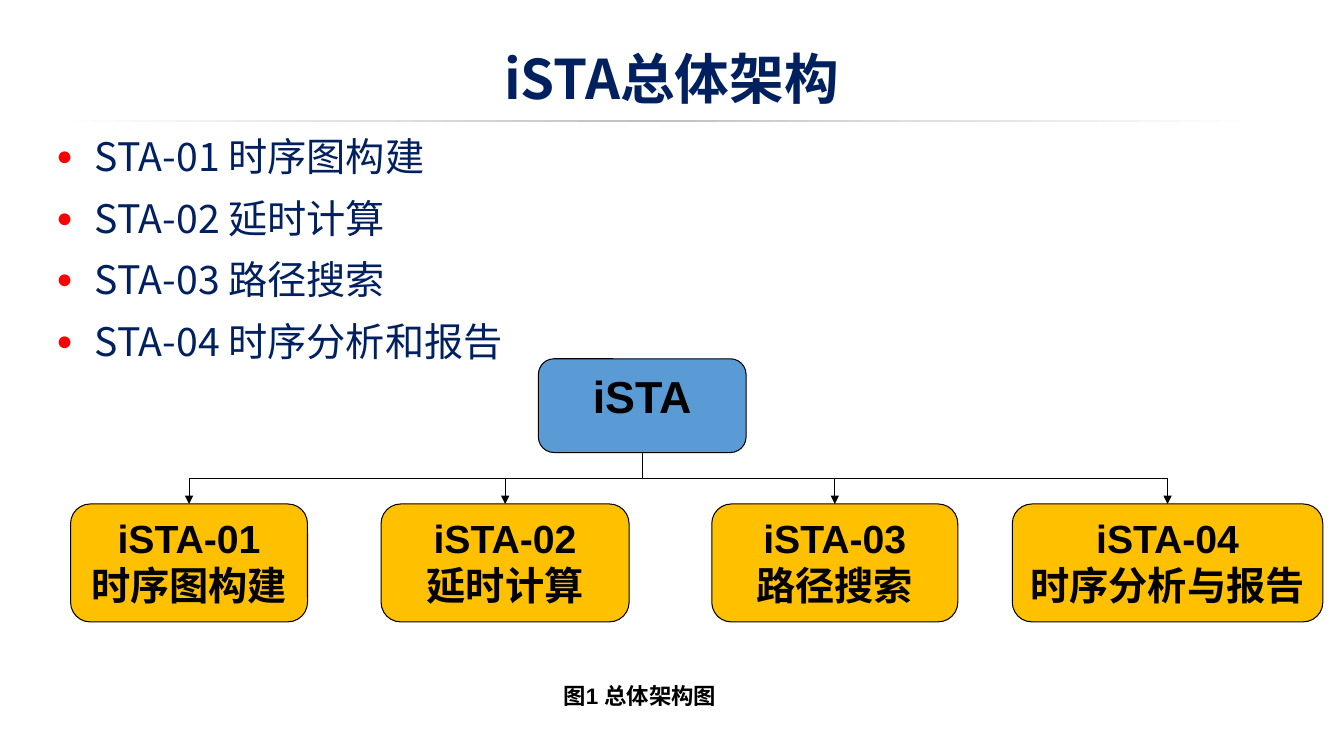
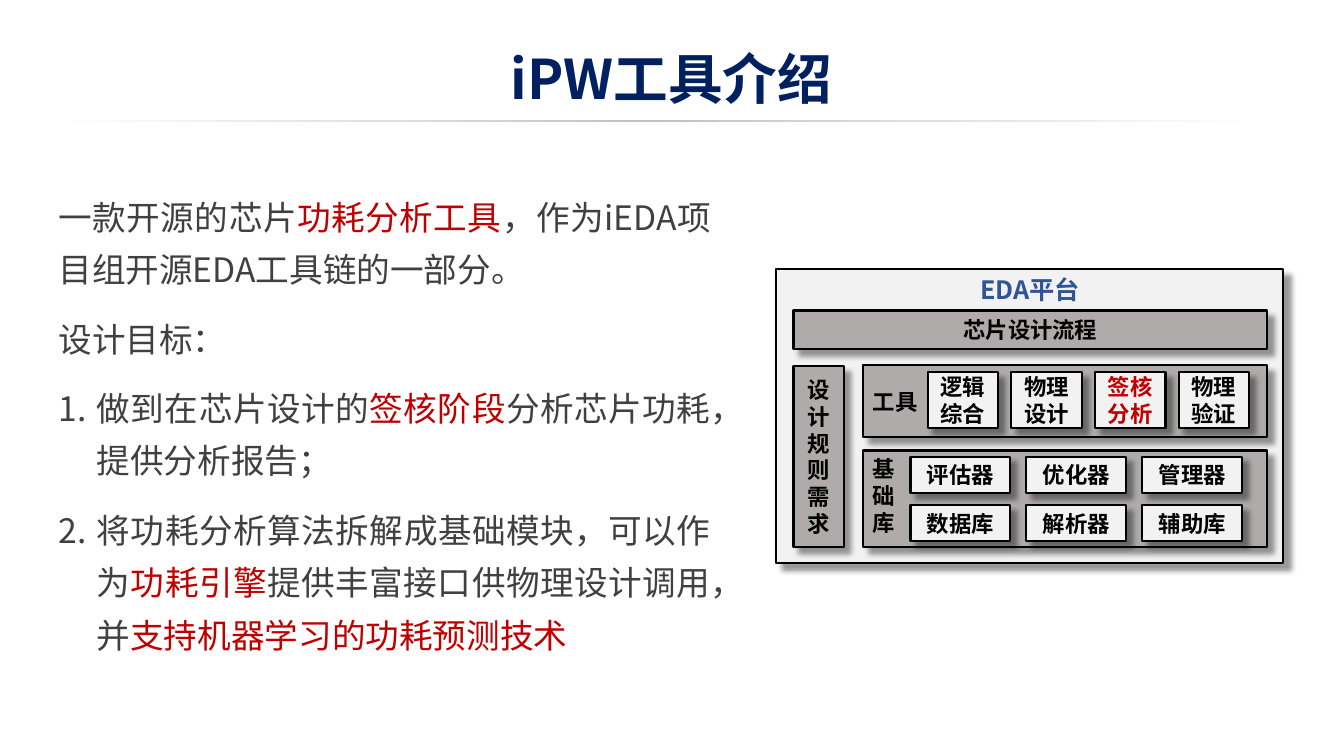
from lxml import etree
from pptx import Presentation
from pptx import util as u
from pptx.dml.color import RGBColor
from pptx.enum import shapes, text
from pptx.oxml import parse_xml
from pptx.oxml.ns import nsdecls, qn

CJK, LATIN = "Noto Sans CJK SC", "Arial"
NAVY, BLACK, RED, GREY = "002060", "000000", "C00000", "404040"
PALE, STONE = "F2F2F2", "AFABAB"
CENTER, LEFT, JUSTIFY = (text.PP_ALIGN.CENTER, text.PP_ALIGN.LEFT,
                         text.PP_ALIGN.JUSTIFY)
TOP, MIDDLE, BOTTOM = (text.MSO_ANCHOR.TOP, text.MSO_ANCHOR.MIDDLE,
                       text.MSO_ANCHOR.BOTTOM)
HANG = 0.38  # hanging indent of list items


# ---- shared helpers ----
def rgb(value):
    return RGBColor.from_string(value)


def place(part, box):
    part.left, part.top, part.width, part.height = map(u.Inches, box)


def add_run(paragraph, words, size, color, bold=False, face=CJK):
    run = paragraph.add_run()
    run.text = words
    run.font.size, run.font.bold, run.font.name = u.Pt(size), bold, face
    run.font.color.rgb = rgb(color)
    east_asian = etree.SubElement(run.font._element, qn("a:ea"))
    east_asian.set("typeface", CJK)


def write_lines(frame, lines, size, color=BLACK, face=CJK, align=CENTER,
                anchor=TOP, pitch=None):
    """Fill a frame with bold one-run paragraphs."""
    frame.word_wrap = True
    frame.vertical_anchor = anchor
    for index, words in enumerate(lines):
        paragraph = frame.paragraphs[0] if index == 0 else frame.add_paragraph()
        paragraph.alignment = align
        if pitch:
            paragraph.line_spacing = u.Pt(pitch)
        add_run(paragraph, words, size, color, True, face)


def set_marker(paragraph, markup, indent=0.0):
    """Set the indent and the bullet or number of a paragraph."""
    props = paragraph._p.get_or_add_pPr()
    props.set("marL", str(u.Inches(indent)))
    props.set("indent", str(-u.Inches(indent)))
    holder = parse_xml(f"<a:pPr {nsdecls('a')}>{markup}</a:pPr>")
    for child in list(holder):
        props.append(child)


def add_block(parent, kind, box, fill, line_width):
    block = parent.add_shape(kind, *map(u.Inches, box))
    block.shadow.inherit = False
    block.fill.solid()
    block.fill.fore_color.rgb = rgb(fill)
    block.line.color.rgb = rgb(BLACK)
    block.line.width = u.Pt(line_width)
    return block


def add_title_rule(slide, layout):
    """Put the fading rule under the title on the layout."""
    rule = slide.shapes.add_shape(shapes.MSO_SHAPE.RECTANGLE, u.Inches(0.52),
                                  u.Inches(1.19), u.Inches(11.98), u.Inches(0.02))
    rule.shadow.inherit = False
    rule.line.fill.background()
    rule.fill.gradient()
    rule.fill.gradient_angle = 0
    stops = rule._element.spPr.find(qn("a:gradFill")).find(qn("a:gsLst"))
    for stop in list(stops):
        stops.remove(stop)
    for position, color in ((0, "FFFFFF"), (27, "E0E0E0"), (49, "C0C0C0"),
                            (73, "E0E0E0"), (100, "FFFFFF")):
        stops.append(parse_xml(
            f'<a:gs {nsdecls("a")} pos="{position * 1000}">'
            f'<a:srgbClr val="{color}"/></a:gs>'))
    layout.shapes._spTree.append(rule._element)


def start_slide(prs, layout, heading):
    slide = prs.slides.add_slide(layout)
    title = slide.shapes.title
    place(title, (0.67, 0.13, 11.98, 1.02))
    write_lines(title.text_frame, [heading], 39, NAVY, anchor=BOTTOM)
    title.text_frame.auto_size = text.MSO_AUTO_SIZE.NONE
    return slide


def open_body(slide, box):
    body = slide.placeholders[1]
    place(body, box)
    frame = body.text_frame
    frame.word_wrap = True
    frame.auto_size = text.MSO_AUTO_SIZE.NONE
    return frame


def add_item(frame, index, pitch, before, after=0):
    paragraph = frame.paragraphs[0] if index == 0 else frame.add_paragraph()
    paragraph.line_spacing = u.Pt(pitch)
    paragraph.space_before = u.Pt(before if index else 0)
    paragraph.space_after = u.Pt(after)
    return paragraph


# ---- slide 1: architecture ----
def list_modules(slide, box):
    frame = open_body(slide, box)
    bullet = ('<a:buClr><a:srgbClr val="FF0000"/></a:buClr>'
              '<a:buSzPct val="70000"/><a:buFont typeface="Arial"/>'
              '<a:buChar char="●"/>')
    modules = ("STA-01 时序图构建", "STA-02 延时计算",
               "STA-03 路径搜索", "STA-04 时序分析和报告")
    for index, module in enumerate(modules):
        item = add_item(frame, index, 38.3, 5.6)
        set_marker(item, bullet, HANG)
        add_run(item, module, 28, NAVY)


def add_branch(slide, root, leaf):
    """Elbow arrow from the root's bottom, down and across to a leaf's top."""
    x1, y1 = root.left + root.width // 2, root.top + root.height
    x2, y2 = leaf.left + leaf.width // 2, leaf.top
    branch = slide.shapes.add_connector(shapes.MSO_CONNECTOR.ELBOW, x1, y1, x2, y2)
    branch.begin_connect(root, 2)
    branch.end_connect(leaf, 0)
    branch.line.color.rgb = rgb(BLACK)
    branch.line.width = u.Pt(0.75)
    etree.SubElement(branch.line._get_or_add_ln(), qn("a:tailEnd")).set("type", "triangle")
    etree.SubElement(branch._element.spPr, qn("a:effectLst"))
    # A quarter turn makes the elbow leave vertically
    rise, run = y2 - y1, abs(x2 - x1)
    branch.left, branch.top = (x1 + x2 - rise) // 2, (y1 + y2 - run) // 2
    branch.width, branch.height = rise, run
    frame = branch._element.spPr.find(qn("a:xfrm"))
    for flip in ("flipH", "flipV"):
        frame.attrib.pop(flip, None)
    frame.set("rot", "5400000" if x2 < x1 else "16200000")
    if x2 > x1:
        frame.set("flipH", "1")


def draw_tree(slide, left, top):
    rounded = shapes.MSO_SHAPE.ROUNDED_RECTANGLE
    root = add_block(slide.shapes, rounded, (left + 4.64, top, 2.06, 0.93),
                     "5B9BD5", 0.75)
    write_lines(root.text_frame, ["iSTA"], 32, face=LATIN)
    leaves = ((0, 2.35, "时序图构建"), (3.08, 2.46, "延时计算"),
              (6.36, 2.44, "路径搜索"), (9.34, 3.08, "时序分析与报告"))
    for number, (offset, width, task) in enumerate(leaves, 1):
        leaf = add_block(slide.shapes, rounded,
                         (left + offset, top + 1.44, width, 1.17), "FFC000", 0.75)
        write_lines(leaf.text_frame, [f"iSTA-0{number}", task], 28, face=LATIN)
        add_branch(slide, root, leaf)


def add_caption(slide, box):
    caption = slide.shapes.add_textbox(*map(u.Inches, box))
    write_lines(caption.text_frame, ["图1 总体架构图"], 16, face=LATIN, align=LEFT)


# ---- slide 2: tool introduction ----
def write_intro(slide, box):
    frame = open_body(slide, box)
    plain = "<a:buNone/>"
    number = '<a:buFont typeface="+mj-lt"/><a:buAutoNum type="arabicPeriod"/>'
    # Each passage lists plain and highlighted words in turn
    passages = (
        (plain, 0, ("一款开源的芯片", "功耗分析工具",
                    "，作为iEDA项目组开源EDA工具链的一部分。")),
        (plain, 0, ("设计目标：",)),
        (number, HANG, ("做到在芯片设计的", "签核阶段",
                        "分析芯片功耗，提供分析报告；")),
        (number, HANG, ("将功耗分析算法拆解成基础模块，可以作为", "功耗引擎",
                        "提供丰富接口供物理设计调用，并",
                        "支持机器学习的功耗预测技术")),
    )
    for index, (marker, indent, pieces) in enumerate(passages):
        item = add_item(frame, index, 37.5, 6, 6)
        item.alignment = JUSTIFY
        set_marker(item, marker, indent)
        for turn, words in enumerate(pieces):
            add_run(item, words, 24, RED if turn % 2 else GREY)


def draw_platform(slide, left, top):
    parts = slide.shapes.add_group_shape().shapes

    def panel(x, y, width, height, fill, label=None, size=16, color=BLACK,
              align=CENTER, anchor=MIDDLE):
        block = add_block(parts, shapes.MSO_SHAPE.RECTANGLE,
                          (left + x, top + y, width, height), fill, 1.5)
        effects = block._element.spPr.find(qn("a:effectLst"))
        effects.append(parse_xml(
            f'<a:outerShdw {nsdecls("a")} blurRad="{u.Pt(4)}" dist="{u.Pt(6)}" '
            'dir="2700000" algn="tl" rotWithShape="0"><a:srgbClr val="000000">'
            '<a:alpha val="40000"/></a:srgbClr></a:outerShdw>'))
        if label:
            write_lines(block.text_frame, [label], size, color, align=align,
                        anchor=anchor, pitch=size * 1.2)

    # Frame, rules column and flow bar
    panel(0, 0, 5.03, 2.92, PALE, "EDA平台", 18, "2F5597", anchor=TOP)
    panel(0.17, 0.96, 0.5, 1.8, STONE, "设计规则需求")
    panel(0.17, 0.41, 4.7, 0.38, STONE, "芯片设计流程")

    # Tools row
    panel(0.86, 0.95, 4.01, 0.72, STONE, "工具", align=LEFT)
    for column, tool in enumerate(("逻辑综合", "物理设计", "签核分析", "物理验证")):
        panel(1.5 + column * 0.83, 1.02, 0.7, 0.56, PALE, tool,
              color=RED if tool == "签核分析" else BLACK)

    # Base library grid
    panel(0.86, 1.8, 4.01, 0.96, STONE)
    library = (("评估器", "优化器", "管理器"), ("数据库", "解析器", "辅助库"))
    for row, names in enumerate(library):
        for column, name in enumerate(names):
            panel(1.33 + column * 1.15, 1.86 + row * 0.48, 0.99, 0.36, PALE, name)
    heading = parts.add_textbox(*map(u.Inches, (left + 0.86, top + 1.8, 0.64, 0.91)))
    write_lines(heading.text_frame, "基础库", 16, align=LEFT, pitch=19.2)


def main():
    prs = Presentation()
    prs.slide_width, prs.slide_height = u.Inches(13.33), u.Inches(7.5)
    layout = prs.slide_layouts[1]

    architecture = start_slide(prs, layout, "iSTA总体架构")
    add_title_rule(architecture, layout)
    list_modules(architecture, (0.46, 1.2, 11.24, 2.76))
    add_caption(architecture, (5.49, 6.72, 1.77, 0.37))
    draw_tree(architecture, 0.7, 3.56)

    introduction = start_slide(prs, layout, "iPW工具介绍")
    write_intro(introduction, (0.48, 1.78, 6.67, 4.73))
    draw_platform(introduction, 7.7, 2.67)

    prs.save("out.pptx")


if __name__ == "__main__":
    main()
